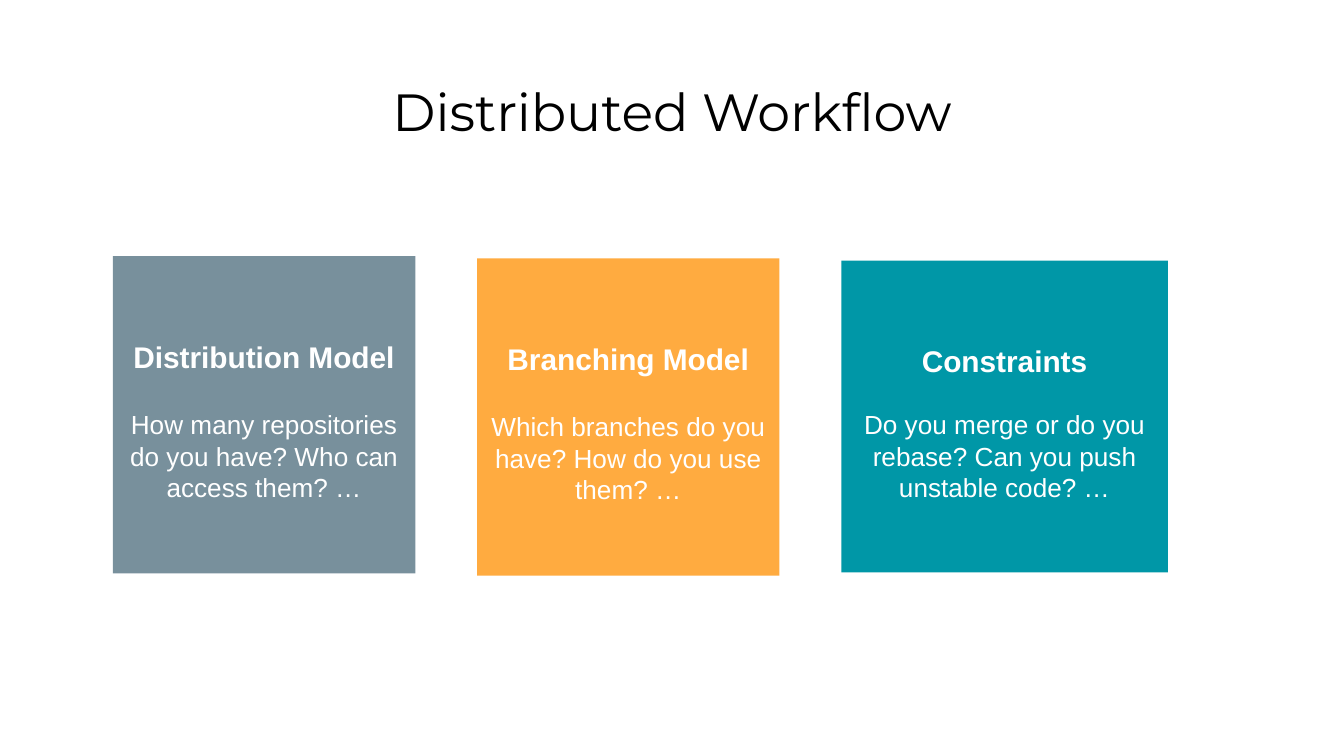
import pptx
import pptx.util
import pptx.dml.color
import pptx.enum.shapes
import pptx.enum.text

Pt = pptx.util.Pt
RGBColor = pptx.dml.color.RGBColor
BLACK = RGBColor(0x00, 0x00, 0x00)
WHITE = RGBColor(0xFF, 0xFF, 0xFF)
GREY = RGBColor(0x78, 0x90, 0x9C)
AMBER = RGBColor(0xFF, 0xAB, 0x40)
TEAL = RGBColor(0x00, 0x97, 0xA7)

CARDS = [
    ((60.5, 137.2, 162, 170), GREY, "Distribution Model", 18.5,
     ["How many repositories", "do you have? Who can", "access them? …"]),
    ((255.6, 138.4, 162, 170), AMBER, "Branching Model", 18.5,
     ["Which branches do you", "have? How do you use", "them? …"]),
    ((450.7, 139.7, 175, 167), TEAL, "Constraints", 16,
     ["Do you merge or do you", "rebase? Can you push", "unstable code? …"]),
]


def write(para, text, size, color, font="Arial", bold=False, gap=0, pitch=None):
    """Put formatted, centred text in a paragraph."""
    para.alignment = pptx.enum.text.PP_ALIGN.CENTER
    para.space_before = Pt(gap)
    para.line_spacing = Pt(pitch) if pitch else 1.0
    run = para.add_run()
    run.text = text
    run.font.name = font
    run.font.size = Pt(size)
    run.font.bold = bold
    run.font.color.rgb = color


def frame(shape, top, side):
    """Set up a top-anchored text frame and return it."""
    text = shape.text_frame
    text.word_wrap = True
    text.auto_size = pptx.enum.text.MSO_AUTO_SIZE.NONE
    text.vertical_anchor = pptx.enum.text.MSO_ANCHOR.TOP
    text.margin_top = Pt(top)
    text.margin_bottom = Pt(0)
    text.margin_left = text.margin_right = Pt(side)
    return text


def title(slide, box, text):
    """Place the slide title in the given box."""
    shape = slide.shapes.title
    shape.left, shape.top, shape.width, shape.height = map(Pt, box)
    write(frame(shape, 7.2, 7.2).paragraphs[0], text, 28, BLACK, font="Montserrat")


def card(slide, box, fill, head, gap, lines):
    """Draw a coloured card with a heading and lines below it."""
    kind = pptx.enum.shapes.MSO_SHAPE.RECTANGLE
    shape = slide.shapes.add_shape(kind, *map(Pt, box))
    shape.shadow.inherit = False
    shape.fill.solid()
    shape.fill.fore_color.rgb = fill
    shape.line.fill.background()
    text = frame(shape, 44, 5)
    write(text.paragraphs[0], head, 16, WHITE, bold=True)
    for index, line in enumerate(lines):
        write(text.add_paragraph(), line, 14, WHITE,
              gap=0 if index else gap, pitch=16.8)


def main():
    """Build and save the deck."""
    deck = pptx.Presentation()
    deck.slide_width, deck.slide_height = Pt(720), Pt(405)
    slide = deck.slides.add_slide(deck.slide_layouts[5])
    title(slide, (24.5, 35.3, 671, 45.4), "Distributed Workflow")
    for item in CARDS:
        card(slide, *item)
    deck.save("out.pptx")


if __name__ == "__main__":
    main()
